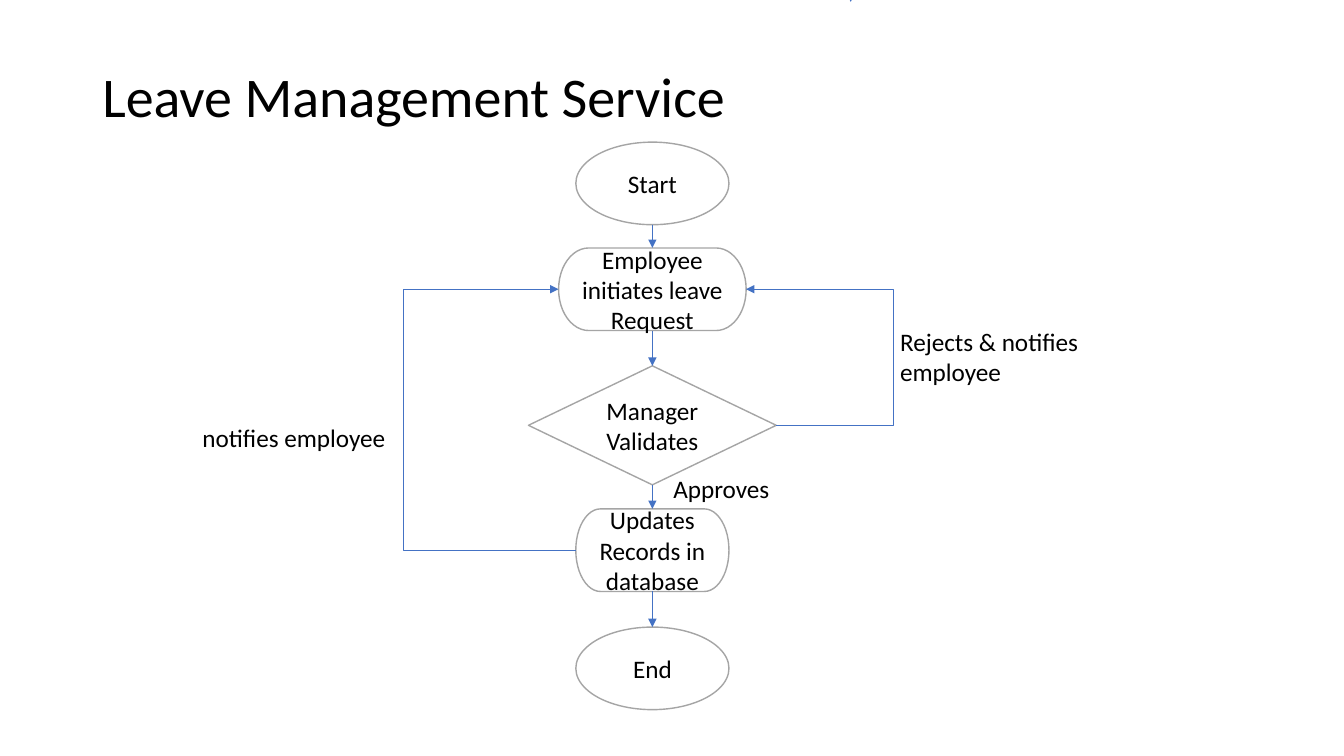
import pptx
import pptx.util
import pptx.dml.color
import pptx.enum.shapes
import pptx.enum.text
import pptx.oxml
import pptx.oxml.ns
from lxml import etree

Pt = pptx.util.Pt
RGBColor = pptx.dml.color.RGBColor
SHAPES = pptx.enum.shapes.MSO_SHAPE
CONNECTORS = pptx.enum.shapes.MSO_CONNECTOR
ANCHOR = pptx.enum.text.MSO_ANCHOR
ALIGN = pptx.enum.text.PP_ALIGN
qn = pptx.oxml.ns.qn

BLACK = RGBColor(0x00, 0x00, 0x00)
WHITE = RGBColor(0xFF, 0xFF, 0xFF)
GREY = RGBColor(0xA5, 0xA5, 0xA5)
BLUE = RGBColor(0x44, 0x72, 0xC4)
TOP, BOTTOM = 0, 2


def write(shape, text, size=18, align=ALIGN.LEFT, anchor=ANCHOR.TOP, spacing=1.0):
    frame = shape.text_frame
    frame.word_wrap = True
    frame.vertical_anchor = anchor
    paragraph = frame.paragraphs[0]
    paragraph.alignment = align
    paragraph.line_spacing = spacing
    run = paragraph.add_run()
    run.text = text
    for name, value in {"name": "Calibri", "size": Pt(size)}.items():
        setattr(run.font, name, value)
    run.font.color.rgb = BLACK


def add_label(slide, box, text, **text_format):
    label = slide.shapes.add_textbox(*map(Pt, box))
    write(label, text, **text_format)


def add_step(slide, kind, box, text):
    step = slide.shapes.add_shape(kind, *map(Pt, box))
    step.shadow.inherit = False
    step.fill.solid()
    step.fill.fore_color.rgb = WHITE
    step.line.color.rgb = GREY
    step.line.width = Pt(1)
    write(step, text, align=ALIGN.CENTER, anchor=ANCHOR.MIDDLE)
    return step


def add_arrow(slide, kind, start, end):
    arrow = slide.shapes.add_connector(kind, *map(Pt, start + end))
    arrow.line.color.rgb = BLUE
    arrow.line.width = Pt(0.5)
    etree.SubElement(arrow.line._get_or_add_ln(), qn("a:tailEnd"), type="triangle")
    etree.SubElement(arrow._element.spPr, qn("a:effectLst"))
    return arrow


def add_loop(slide, start, end, turn_x):
    """Bent arrow whose vertical part runs at turn_x."""
    loop = add_arrow(slide, CONNECTORS.ELBOW, start, end)
    bend = round(100000 * (turn_x - start[0]) / (end[0] - start[0]))
    guides = loop._element.spPr.find(qn("a:prstGeom")).get_or_add_avLst()
    etree.SubElement(guides, qn("a:gd"), name="adj1", fmla=f"val {bend}")


def build_title(slide, box):
    add_label(slide, box, "Leave Management Service",
              size=40, anchor=ANCHOR.MIDDLE, spacing=0.9)


def build_flowchart(slide, box):
    left, top, width, height = box
    middle = left + width / 2

    # Steps: shape, offset from the top, width, height, text
    rows = [
        (SHAPES.OVAL, 0, 109.4, 59, "Start"),
        (SHAPES.FLOWCHART_TERMINATOR, 75.6, 134, 59, "Employee initiates leave Request"),
        (SHAPES.FLOWCHART_DECISION, 159.8, 177, 85, "Manager Validates"),
        (SHAPES.FLOWCHART_TERMINATOR, 262, 109.4, 59, "Updates Records in database"),
        (SHAPES.OVAL, height - 59, 109.4, 59, "End"),
    ]
    steps = [add_step(slide, kind, (middle - w / 2, top + y, w, h), text)
             for kind, y, w, h, text in rows]

    # Arrows from each step down to the next
    for (upper, upper_row), (lower, lower_row) in zip(
            zip(steps, rows), zip(steps[1:], rows[1:])):
        upper_bottom = top + upper_row[1] + upper_row[3]
        arrow = add_arrow(slide, CONNECTORS.STRAIGHT,
                          (middle, upper_bottom), (middle, top + lower_row[1]))
        if upper_row[0] != SHAPES.OVAL:  # an oval numbers its sides differently
            arrow.begin_connect(upper, BOTTOM)
        arrow.end_connect(lower, TOP)

    # Loops back to the request
    def side(row, sign):
        _, y, w, h, _ = row
        return middle + sign * w / 2, top + y + h / 2

    _, request, decision, update, _ = rows
    add_loop(slide, side(decision, 1), side(request, 1), middle + 172)
    add_loop(slide, side(update, -1), side(request, -1), middle - 178)

    # Labels beside the arrows: offsets from middle and top, width, height
    for x, y, w, h, text in [
        (169.8, 128.2, 156, 51, "Rejects & notifies employee"),
        (7.8, 233.3, 95, 29, "Approves"),
        (-328.5, 196.6, 156, 29, "notifies employee"),
    ]:
        add_label(slide, (middle + x, top + y, w, h), text)


def build_edge_arrow(slide, box):
    left, top, _, height = box
    add_arrow(slide, CONNECTORS.STRAIGHT, (left, top), (left, top + height))


def main():
    presentation = pptx.Presentation()
    presentation.slide_width = Pt(960)
    presentation.slide_height = Pt(540)
    slide = presentation.slides.add_slide(presentation.slide_layouts[6])
    build_title(slide, (66, 18.7, 828, 104.4))
    build_flowchart(slide, (137.5, 101.5, 657, 405.4))
    build_edge_arrow(slide, (607.7, 0, 0, 1.4))
    presentation.save("out.pptx")


if __name__ == "__main__":
    main()
